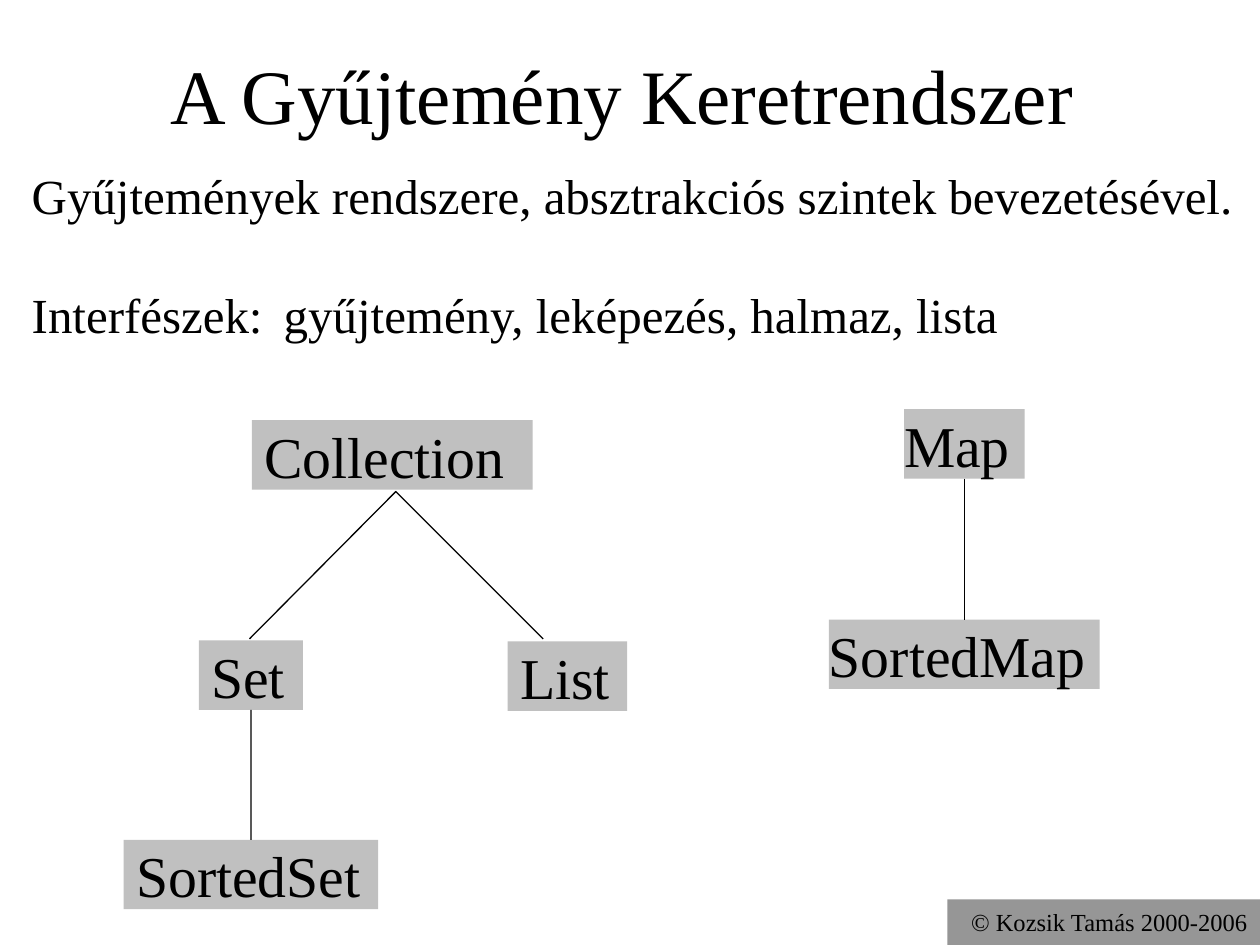
from lxml import etree
from pptx import Presentation
from pptx.dml.color import RGBColor
from pptx.enum.shapes import MSO_CONNECTOR as CONN, MSO_SHAPE as SHAPE
from pptx.enum.text import MSO_ANCHOR as ANCHOR, MSO_AUTO_SIZE as AUTO, PP_ALIGN as ALIGN
from pptx.oxml.ns import qn
from pptx.util import Cm, Pt


def rgb(value):
    return RGBColor.from_string(value)


def write(p, text, size, font="Times New Roman", color="000000", align=ALIGN.LEFT):
    p.alignment = align
    r = p.add_run()
    r.text = text
    r.font.size = Pt(size)
    r.font.name = font
    r.font.color.rgb = rgb(color)


class Deck:
    node_fill = "C0C0C0"
    bar_fill = "969696"
    line_color = "000000"
    line_width = 0.75
    node_height = 1.4
    node_size = 33
    body_size = 28

    def __init__(self, prs):
        self.s = prs.slides.add_slide(prs.slide_layouts[1])

    def place(self, sp, x, y, w, h):
        sp.left, sp.top, sp.width, sp.height = Cm(x), Cm(y), Cm(w), Cm(h)

    def frame(self, sp, anchor, left=0, top=0, right=0):
        tf = sp.text_frame
        tf.word_wrap = True
        tf.auto_size = AUTO.NONE
        tf.vertical_anchor = anchor
        tf.margin_left, tf.margin_top = Cm(left), Cm(top)
        tf.margin_right, tf.margin_bottom = Cm(right), 0
        return tf

    def title(self, text, *box):
        sp = self.s.shapes.title
        self.place(sp, *box)
        tf = self.frame(sp, ANCHOR.MIDDLE, top=0.25)
        write(tf.paragraphs[0], text, 44, align=ALIGN.CENTER)

    def body(self, lines, tab, gap, *box):
        sp = self.s.placeholders[1]
        self.place(sp, *box)
        tf = self.frame(sp, ANCHOR.BOTTOM)
        for i, text in enumerate(lines):
            p = tf.add_paragraph() if i else tf.paragraphs[0]
            write(p, text, self.body_size)
            p.line_spacing = 1.0
            p.space_before = Pt(gap if i else 0)
            pPr = p._p.get_or_add_pPr()
            pPr.set("marL", "0")
            pPr.set("indent", "0")
            etree.SubElement(pPr, qn("a:buNone"))
            tabs = etree.SubElement(pPr, qn("a:tabLst"))
            etree.SubElement(tabs, qn("a:tab"), pos=str(Cm(tab)), algn="l")

    def rect(self, fill, *box):
        sp = self.s.shapes.add_shape(SHAPE.RECTANGLE, *map(Cm, box))
        sp.shadow.inherit = False
        sp.fill.solid()
        sp.fill.fore_color.rgb = rgb(fill)
        sp.line.fill.background()
        return sp

    def footer(self, text, *box):
        sp = self.rect(self.bar_fill, *box)
        tf = self.frame(sp, ANCHOR.MIDDLE, right=0.25)
        write(tf.paragraphs[0], text, 14, align=ALIGN.RIGHT)

    def node(self, text, center, top, width, indent=0.25):
        sp = self.rect(self.node_fill, center - width / 2, top, width, self.node_height)
        tf = self.frame(sp, ANCHOR.BOTTOM, left=indent)
        write(tf.paragraphs[0], text, self.node_size)
        return sp

    def stroke(self, sp):
        sp.line.color.rgb = rgb(self.line_color)
        sp.line.width = Pt(self.line_width)

    def link(self, parent, child):
        cx = self.s.shapes.add_connector(CONN.STRAIGHT, 0, 0, 0, 0)
        cx.begin_connect(parent, 2)
        cx.end_connect(child, 0)
        self.stroke(cx)
        etree.SubElement(cx._element.spPr, qn("a:effectLst"))

    def branch(self, *points):
        start, *rest = [(Cm(x), Cm(y)) for x, y in points]
        fb = self.s.shapes.build_freeform(*start)
        fb.add_line_segments(rest, close=False)
        sp = fb.convert_to_shape()
        sp.shadow.inherit = False
        sp.fill.background()
        self.stroke(sp)


def main():
    prs = Presentation()
    prs.slide_width, prs.slide_height = Cm(25.4), Cm(19.05)
    deck = Deck(prs)

    deck.footer("© Kozsik Tamás 2000-2006", 19.1, 18.13, 6.3, 0.92)
    deck.title("A Gyűjtemény Keretrendszer", 1.7, 0.5, 21.7, 2.54)
    deck.body(
        ["Gyűjtemények rendszere, absztrakciós szintek bevezetésével.",
         "Interfészek:\tgyűjtemény, leképezés, halmaz, lista"],
        6.12, 34.7, 0.64, 3.38, 24.4, 3.55)

    deck.node("Collection", 7.91, 8.47, 5.66)
    deck.node("List", 11.44, 12.93, 2.41)
    set_node = deck.node("Set", 5.06, 12.91, 2.1)
    sorted_set = deck.node("SortedSet", 5.06, 16.93, 5.13)
    map_node = deck.node("Map", 19.44, 8.25, 2.43, indent=0)
    sorted_map = deck.node("SortedMap", 19.44, 12.49, 5.46, indent=0)

    deck.branch((5.03, 12.88), (7.98, 9.91), (10.95, 12.88))
    deck.link(set_node, sorted_set)
    deck.link(map_node, sorted_map)
    prs.save("out.pptx")


if __name__ == "__main__":
    main()
